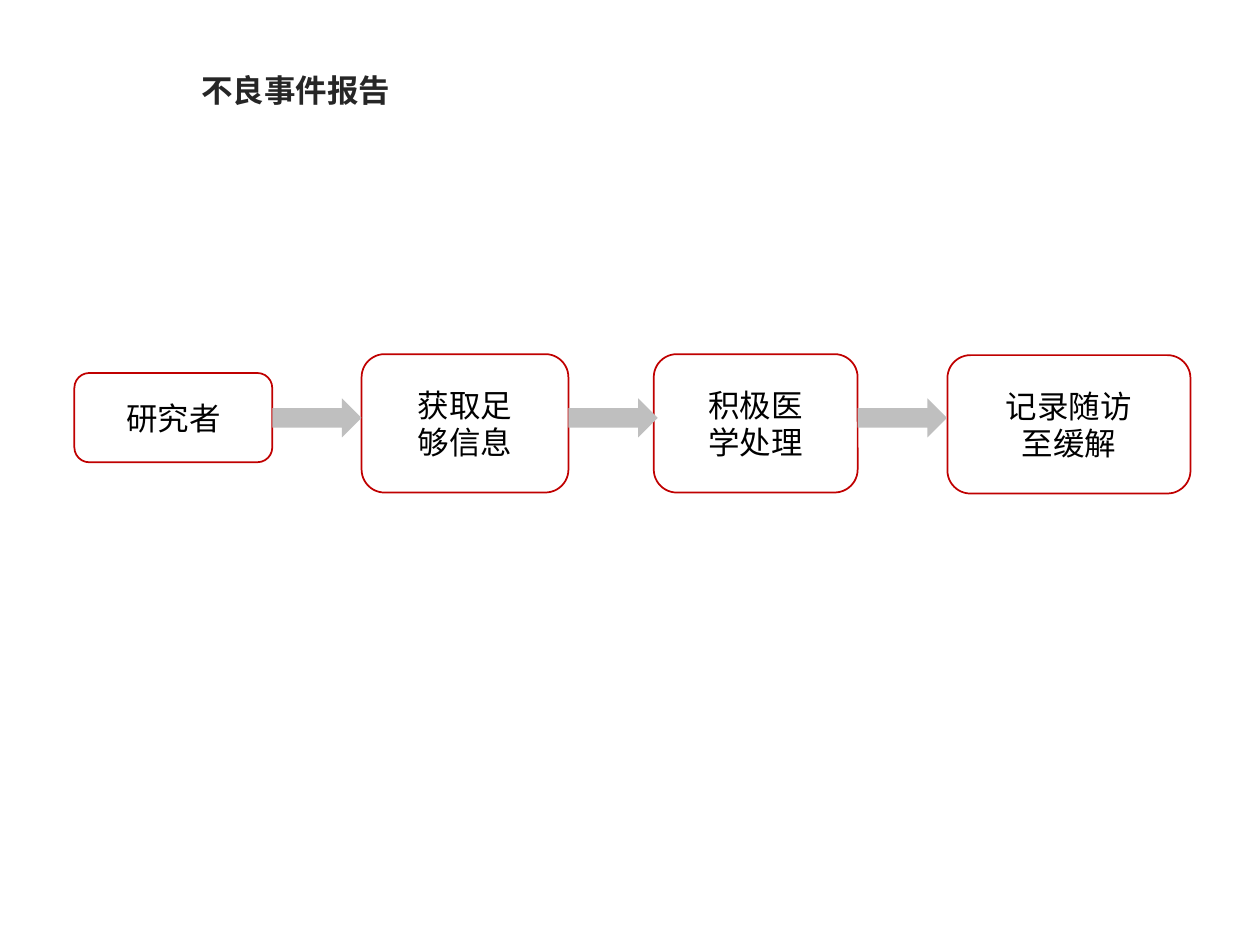
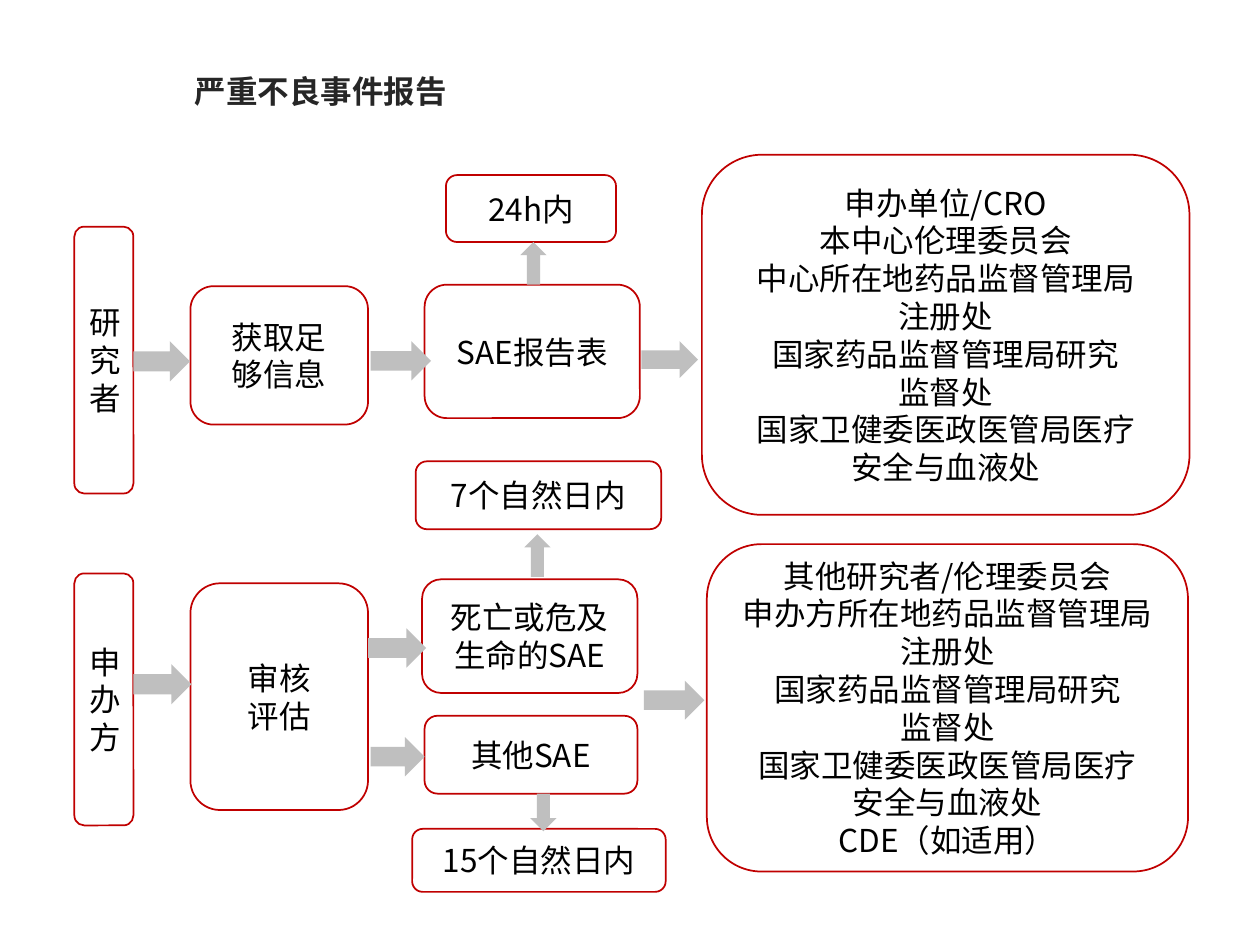
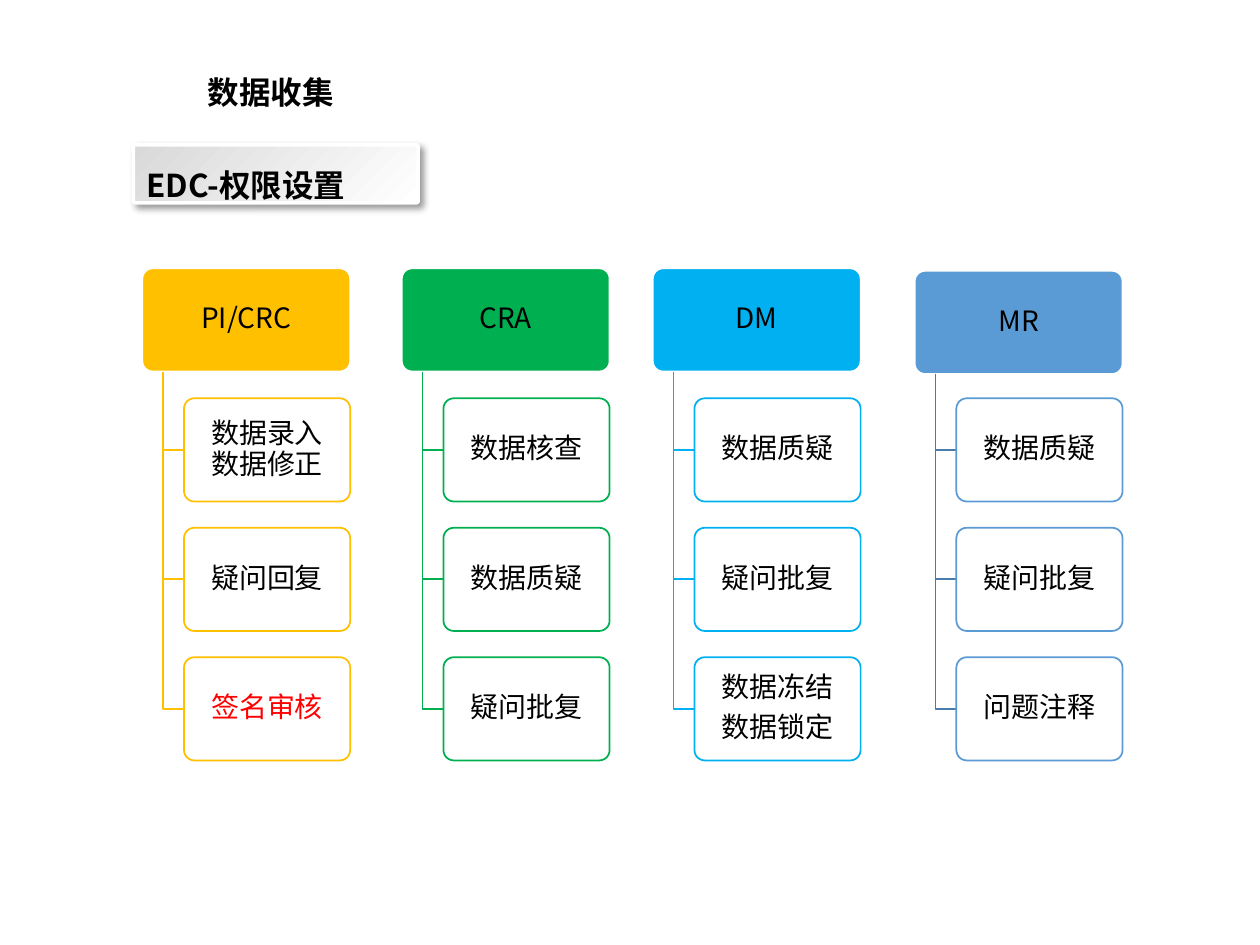
from dataclasses import dataclass
from itertools import pairwise

from lxml.etree import SubElement
from pptx import Presentation
from pptx.dml.color import RGBColor
from pptx.enum.shapes import MSO_SHAPE as Preset
from pptx.enum.text import MSO_ANCHOR as Anchor, PP_ALIGN as Align
from pptx.oxml.ns import qn
from pptx.util import Cm, Pt


@dataclass(frozen=True)
class Theme:
    font: str = "Noto Sans CJK SC"
    body_size: int = 18
    card_size: int = 16
    line_width: float = 1
    ink: str = "000000"
    title_ink: str = "262626"
    paper: str = "FFFFFF"
    step_line: str = "C00000"
    arrow: str = "BFBFBF"
    banner_start: str = "D9D9D9"
    alert: str = "FF0000"
    entry: str = "FFC000"
    monitor: str = "00B050"
    data: str = "00B0F0"
    medical: str = "5B9BD5"
    medical_stem: str = "497CAB"


@dataclass(frozen=True)
class Card:
    text: str
    color: str = Theme.ink
    gap: float = 0


THEME = Theme()
HEADER_W, BLOCK_H = 4.19, 2.08
CARD_W, CARD_INDENT, STEM_INDENT = 3.35, 0.84, 0.42
CARD_TOP, CARD_STEP = 8.03, 2.61


def rgb(code):
    return RGBColor.from_string(code)


def write(shape, text, size=THEME.body_size, color=THEME.ink, bold=False,
          align=Align.CENTER, anchor=Anchor.MIDDLE, spacing=None, gap=0,
          inset=None, wrap=True):
    frame = shape.text_frame
    frame.word_wrap = wrap
    frame.vertical_anchor = anchor
    if inset is not None:
        frame.margin_left = frame.margin_right = Cm(inset)
        frame.margin_top = frame.margin_bottom = Cm(inset)
    for index, line in enumerate(text.split("\n")):
        paragraph = frame.add_paragraph() if index else frame.paragraphs[0]
        paragraph.alignment = align
        if spacing:
            paragraph.line_spacing = spacing
        if gap:
            paragraph.space_after = Pt(gap)
        run = paragraph.add_run()
        run.text = line
        run.font.size = Pt(size)
        run.font.bold = bold
        run.font.color.rgb = rgb(color)
        run.font.name = THEME.font
        SubElement(run._r.get_or_add_rPr(), qn("a:ea"), typeface=THEME.font)


def paint(shape, fill=None, line=None):
    shape.shadow.inherit = False
    if fill:
        shape.fill.solid()
        shape.fill.fore_color.rgb = rgb(fill)
    else:
        shape.fill.background()
    if line:
        shape.line.color.rgb = rgb(line)
        shape.line.width = Pt(THEME.line_width)
    else:
        shape.line.fill.background()


def block(slide, preset, place, fill=None, line=None, corner=None):
    shape = slide.shapes.add_shape(preset, *map(Cm, place))
    paint(shape, fill, line)
    if corner is not None:
        shape.adjustments[0] = corner
    return shape


def title(slide, text, left, top, width, height=1.02, color=THEME.title_ink):
    heading = slide.shapes.add_textbox(*map(Cm, (left, top, width, height)))
    write(heading, text, color=color, bold=True, align=Align.LEFT, wrap=False)


def step(slide, text, *place):
    write(block(slide, Preset.ROUNDED_RECTANGLE, place, line=THEME.step_line), text)


def arrow(slide, *place, preset=Preset.RIGHT_ARROW):
    block(slide, preset, place, fill=THEME.arrow)


def banner(slide, text, *place):
    plate = block(slide, Preset.ROUNDED_RECTANGLE, place, line=THEME.paper, corner=0.03)
    plate.line.width = Pt(2)
    plate.fill.gradient()
    plate.fill.gradient_angle = 315
    for stop, position, color in zip(plate.fill.gradient_stops, (0, 1),
                                     (THEME.banner_start, THEME.paper)):
        stop.position = position
        stop.color.rgb = rgb(color)
    effects = plate._element.spPr.find(qn("a:effectLst"))
    shadow = SubElement(effects, qn("a:outerShdw"), blurRad=str(Pt(4)),
                        dist=str(Pt(3)), dir="2700000", algn="tl", rotWithShape="0")
    shade = SubElement(shadow, qn("a:srgbClr"), val=THEME.ink)
    SubElement(shade, qn("a:alpha"), val="40000")
    write(plate, text, bold=True, align=Align.LEFT, anchor=Anchor.TOP, spacing=Pt(30))


def branch(slide, color, stem, top, middle, end):
    builder = slide.shapes.build_freeform(Cm(stem), Cm(top))
    builder.add_line_segments([(Cm(stem), Cm(middle)), (Cm(end), Cm(middle))], close=False)
    paint(builder.convert_to_shape(), line=color)


def role_column(slide, role, left, top, color, cards, stem_color=None):
    header = block(slide, Preset.ROUNDED_RECTANGLE, (left, top, HEADER_W, BLOCK_H),
                   fill=color, line=THEME.paper, corner=0.1)
    write(header, role, size=THEME.card_size, spacing=0.9, inset=0.06)
    card_left = left + CARD_INDENT
    for row, card in enumerate(cards):
        card_top = CARD_TOP + row * CARD_STEP
        branch(slide, stem_color or color, left + STEM_INDENT, top + BLOCK_H,
               card_top + BLOCK_H / 2, card_left)
        right_card = block(slide, Preset.ROUNDED_RECTANGLE,
                           (card_left, card_top, CARD_W, BLOCK_H),
                           fill=THEME.paper, line=color, corner=0.1)
        write(right_card, card.text, size=THEME.card_size, color=card.color,
              spacing=0.9, gap=card.gap, inset=0.06)


def adverse_event(slide):
    title(slide, "不良事件报告", 3.81, 1.3, 4.37)
    steps = [
        ("研究者", 1.5, 7.52, 3.99, 1.8),
        ("获取足\n够信息", 7.29, 7.14, 4.17, 2.79),
        ("积极医\n学处理", 13.18, 7.14, 4.11, 2.79),
        ("记录随访\n至缓解", 19.1, 7.16, 4.9, 2.79),
    ]
    for item in steps:
        step(slide, *item)
    for (_, left, _, width, _), _ in pairwise(steps):
        arrow(slide, left + width, 8.03, 1.8, 0.79)


def serious_event(slide):
    title(slide, "严重不良事件报告", 3.68, 1.32, 5.84)
    authorities = "国家药品监督管理局研究\n监督处\n国家卫健委医政医管局医疗\n安全与血液处"
    for item in (
        ("研究者", 1.5, 4.57, 1.19, 5.38),
        ("获取足\n够信息", 3.84, 5.77, 3.58, 2.79),
        ("SAE报告表", 8.56, 5.74, 4.34, 2.69),
        ("24h内", 8.99, 3.53, 3.43, 1.35),
        ("申办单位/CRO\n本中心伦理委员会\n中心所在地药品监督管理局\n注册处\n" + authorities,
         14.15, 3.12, 9.83, 7.26),
        ("申办方", 1.5, 11.56, 1.19, 5.08),
        ("审核\n评估", 3.84, 11.76, 3.58, 4.57),
        ("死亡或危及生命的SAE", 8.51, 11.68, 4.34, 2.29),
        ("其他SAE", 8.56, 14.43, 4.29, 1.57),
        ("7个自然日内", 8.38, 9.3, 4.95, 1.37),
        ("15个自然日内", 8.31, 16.71, 5.11, 1.27),
        ("其他研究者/伦理委员会\n申办方所在地药品监督管理局注册处\n" + authorities
         + "\nCDE（如适用）", 14.25, 10.97, 9.7, 6.6),
    ):
        step(slide, *item)
    for place in (
        (2.69, 6.88, 1.14, 0.81),
        (7.47, 6.88, 1.22, 0.79),
        (12.93, 6.88, 1.14, 0.74),
        (2.69, 13.39, 1.17, 0.81),
        (7.42, 12.67, 1.17, 0.79),
        (7.47, 14.86, 1.09, 0.79),
        (12.98, 13.72, 1.22, 0.79),
    ):
        arrow(slide, *place)
    arrow(slide, 10.49, 4.88, 0.53, 0.86, preset=Preset.UP_ARROW)
    arrow(slide, 10.57, 10.77, 0.53, 0.86, preset=Preset.UP_ARROW)
    arrow(slide, 10.69, 16, 0.53, 0.76, preset=Preset.DOWN_ARROW)


def data_collection(slide):
    title(slide, "数据收集", 3.94, 1.37, 3.33, height=0.97, color=THEME.ink)
    banner(slide, "EDC-权限设置", 2.69, 2.92, 5.74, 1.17)
    query, approve = Card("数据质疑"), Card("疑问批复")
    role_column(slide, "PI/CRC", 2.87, 5.41, THEME.entry,
                [Card("数据录入\n数据修正"), Card("疑问回复"),
                 Card("签名审核", color=THEME.alert)])
    role_column(slide, "CRA", 8.1, 5.41, THEME.monitor,
                [Card("数据核查"), query, approve])
    role_column(slide, "DM", 13.16, 5.41, THEME.data,
                [query, approve, Card("数据冻结\n数据锁定", gap=5.6)])
    role_column(slide, "MR", 18.44, 5.46, THEME.medical,
                [query, approve, Card("问题注释")], stem_color=THEME.medical_stem)


def main():
    deck = Presentation()
    deck.slide_width, deck.slide_height = Cm(25.4), Cm(19.05)
    blank = deck.slide_layouts[6]
    for build in (adverse_event, serious_event, data_collection):
        build(deck.slides.add_slide(blank))
    deck.save("out.pptx")


if __name__ == "__main__":
    main()
